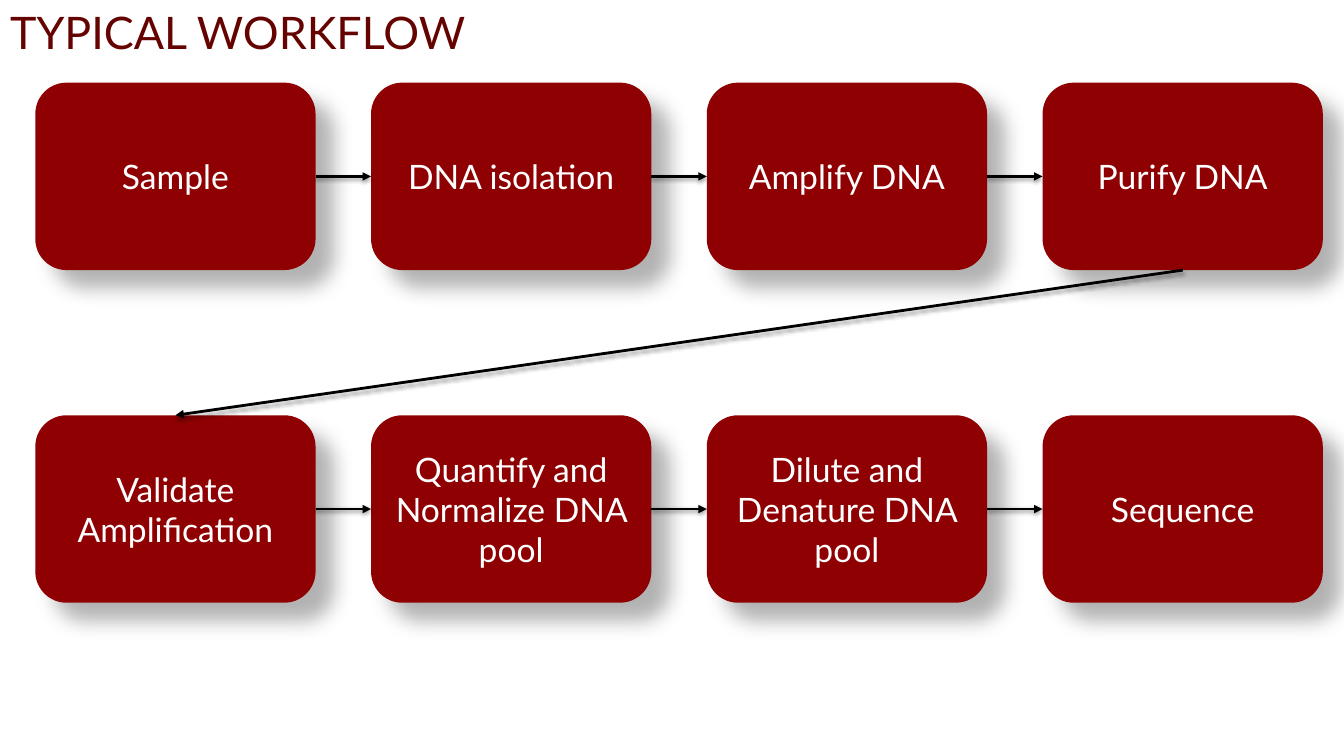
from dataclasses import dataclass
from itertools import pairwise

from lxml import etree
from pptx import Presentation, util as u
from pptx.dml.color import RGBColor
from pptx.enum import shapes, text
from pptx.oxml import ns

TOP, LEFT, BOTTOM, RIGHT = range(4)


@dataclass(frozen=True)
class Theme:
    font: str = "Lato"
    title_size: int = 32
    step_size: int = 24
    arrow_width: int = 2
    title: str = "650300"
    step_fill: str = "8E0002"
    step_text: str = "FFFFFF"
    arrow: str = "000000"
    shadow: str = "000000"
    step_shadow: tuple = (30, 15, 18, 45)
    arrow_shadow: tuple = (38, 3.1, 1.6, 90)


@dataclass(frozen=True)
class Box:
    left: float
    top: float
    width: float
    height: float

    def lengths(self):
        return [u.Inches(value) for value in (self.left, self.top, self.width, self.height)]


THEME = Theme()
WORKFLOW = [
    ["Sample", "DNA isolation", "Amplify DNA", "Purify DNA"],
    ["Validate Amplification", "Quantify and Normalize DNA pool",
     "Dilute and Denature DNA pool", "Sequence"],
]
STEP_WIDTH, STEP_HEIGHT = 2.78, 1.86


def set_attributes(target, values):
    for name, value in values.items():
        setattr(target, name, value)


def format_text(frame, size, color, alignment, anchor, wrap):
    set_attributes(frame, {"vertical_anchor": anchor, "word_wrap": wrap})
    paragraph = frame.paragraphs[0]
    paragraph.alignment = alignment
    set_attributes(paragraph.font, {"name": THEME.font, "size": u.Pt(size)})
    paragraph.font.color.rgb = RGBColor.from_string(color)


def cast_shadow(properties, alpha, blur, distance, angle):
    effects = properties.find(ns.qn("a:effectLst"))
    if effects is None:
        effects = etree.SubElement(properties, ns.qn("a:effectLst"))
    shadow = etree.SubElement(effects, ns.qn("a:outerShdw"), {
        "blurRad": str(u.Pt(blur)), "dist": str(u.Pt(distance)),
        "dir": str(angle * 60000), "algn": "tl", "rotWithShape": "0"})
    color = etree.SubElement(shadow, ns.qn("a:srgbClr"), val=THEME.shadow)
    etree.SubElement(color, ns.qn("a:alpha"), val=str(alpha * 1000))


def add_title(slide, box, wording):
    title = slide.shapes.title
    left, top, width, height = box.lengths()
    set_attributes(title, {"left": left, "top": top, "width": width, "height": height})
    title.text_frame.text = wording
    title.text_frame.auto_size = text.MSO_AUTO_SIZE.SHAPE_TO_FIT_TEXT
    format_text(title.text_frame, THEME.title_size, THEME.title,
                text.PP_ALIGN.LEFT, text.MSO_ANCHOR.TOP, False)


def add_step(slide, box, wording):
    step = slide.shapes.add_shape(
        shapes.MSO_SHAPE.FLOWCHART_ALTERNATE_PROCESS, *box.lengths())
    step.fill.solid()
    step.fill.fore_color.rgb = RGBColor.from_string(THEME.step_fill)
    step.line.fill.background()
    step.shadow.inherit = False
    cast_shadow(step.element.spPr, *THEME.step_shadow)
    step.text_frame.text = wording
    format_text(step.text_frame, THEME.step_size, THEME.step_text,
                text.PP_ALIGN.CENTER, text.MSO_ANCHOR.MIDDLE, True)
    return step


def add_arrow(slide, start, start_side, end, end_side):
    arrow = slide.shapes.add_connector(shapes.MSO_CONNECTOR.STRAIGHT, 0, 0, 0, 0)
    arrow.begin_connect(start, start_side)
    arrow.end_connect(end, end_side)
    arrow.line.width = u.Pt(THEME.arrow_width)
    arrow.line.color.rgb = RGBColor.from_string(THEME.arrow)
    properties = arrow.element.spPr
    etree.SubElement(properties.find(ns.qn("a:ln")), ns.qn("a:tailEnd"), type="triangle")
    cast_shadow(properties, *THEME.arrow_shadow)


def add_workflow(slide, box, rows):
    column_pitch = (box.width - STEP_WIDTH) / (len(rows[0]) - 1)
    row_pitch = (box.height - STEP_HEIGHT) / (len(rows) - 1)
    steps = [
        [add_step(slide, Box(box.left + column * column_pitch, box.top + row * row_pitch,
                             STEP_WIDTH, STEP_HEIGHT), wording)
         for column, wording in enumerate(wordings)]
        for row, wordings in enumerate(rows)
    ]
    for row in steps:
        for start, end in pairwise(row):
            add_arrow(slide, start, RIGHT, end, LEFT)
    for upper, lower in pairwise(steps):
        add_arrow(slide, upper[-1], BOTTOM, lower[0], TOP)


def main():
    presentation = Presentation()
    set_attributes(presentation, {"slide_width": u.Inches(13.33), "slide_height": u.Inches(7.5)})
    slide = presentation.slides.add_slide(presentation.slide_layouts.get_by_name("Title Only"))
    add_title(slide, Box(0, 0, 4.78, 0.64), "TYPICAL WORKFLOW")
    add_workflow(slide, Box(0.35, 0.82, 12.77, 5.16), WORKFLOW)
    presentation.save("out.pptx")


if __name__ == "__main__":
    main()
